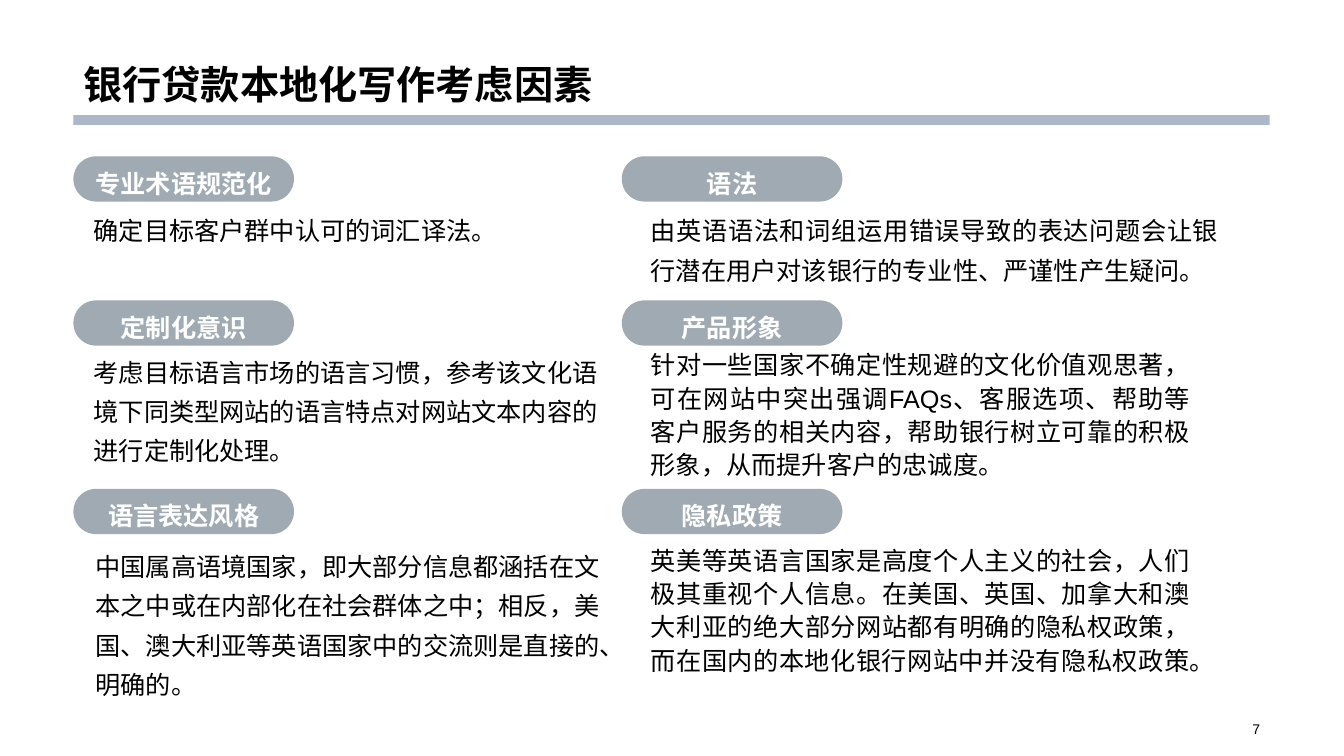
from lxml import etree
from pptx import Presentation
from pptx import util as u
from pptx.dml.color import RGBColor
from pptx.enum import shapes, text
from pptx.oxml.ns import qn

LEFT, CONTENT_WIDTH = 1.85, 30.15
PILL_LEFTS = (LEFT, 15.67)
PILL_TOPS = (3.94, 7.57, 12.32)
PILL_SIZE = (5.56, 1.14)

# Each row: (heading, text, text box in cm, line spacing) for both columns
FACTORS = [
    [("专业术语规范化", "确定目标客户群中认可的词汇译法。",
      (2.11, 5.08, 12.09, 2.01), 1.3),
     ("语法", "由英语语法和词组运用错误导致的表达问题会让银行潜在用户对该银行的专业性、严谨性产生疑问。",
      (16.15, 5.08, 14.81, 2.74), 1.3)],
    [("定制化意识", "考虑目标语言市场的语言习惯，参考该文化语境下同类型网站的语言特点对网站文本内容的进行定制化处理。",
      (2.11, 8.64, 13.28, 1.55), 1.3),
     ("产品形象", "针对一些国家不确定性规避的文化价值观思著，可在网站中突出强调FAQs、客服选项、帮助等"
      "客户服务的相关内容，帮助银行树立可靠的积极形象，从而提升客户的忠诚度。",
      (16.15, 8.61, 14.1, 3.45), 1.1)],
    [("语言表达风格", "中国属高语境国家，即大部分信息都涵括在文本之中或在内部化在社会群体之中；相反，"
      "美国、澳大利亚等英语国家中的交流则是直接的、明确的。",
      (2.16, 13.54, 13.72, 3.28), 1.3),
     ("隐私政策", "英美等英语言国家是高度个人主义的社会，人们极其重视个人信息。在美国、英国、加拿大和"
      "澳大利亚的绝大部分网站都有明确的隐私权政策，而在国内的本地化银行网站中并没有隐私权政策。",
      (16.15, 13.54, 14.1, 3.15), 1.1)],
]
# Hundredths of a centimetre
FLECK_POINTS = [(2294, 1148), (2296, 1143), (2286, 1135), (2273, 1133), (2268, 1133),
                (2268, 1140), (2263, 1148), (2266, 1156), (2268, 1158), (2273, 1161),
                (2278, 1158), (2289, 1161), (2289, 1151)]


def color(hex_string):
    return RGBColor.from_string(hex_string)


def lengths(box):
    return [u.Cm(value) for value in box]


class SlideBuilder:
    font_name = "Arial"
    ink, white = "000000", "FFFFFF"
    bar_fill, pill_fill, fleck_fill = "ACB8CA", "354B5E", "F2F2F2"

    def __init__(self, slide):
        self.slide = slide

    def set_text(self, shape, words, size, ink=ink, bold=False,
                 align=text.PP_ALIGN.LEFT, anchor=text.MSO_ANCHOR.TOP, spacing=1.0):
        frame = shape.text_frame
        frame.text = words
        frame.word_wrap = True
        frame.auto_size = text.MSO_AUTO_SIZE.NONE
        frame.vertical_anchor = anchor
        paragraph = frame.paragraphs[0]
        paragraph.alignment = align
        paragraph.line_spacing = spacing
        font = paragraph.font
        font.name, font.size, font.bold = self.font_name, u.Pt(size), bold
        font.color.rgb = color(ink)

    def paint(self, shape, fill):
        shape.shadow.inherit = False
        shape.fill.solid()
        shape.fill.fore_color.rgb = color(fill)
        shape.line.fill.background()

    def title(self, words, box):
        shape = self.slide.shapes.title
        shape.left, shape.top, shape.width, shape.height = lengths(box)
        self.set_text(shape, words, 28, bold=True, anchor=text.MSO_ANCHOR.BOTTOM, spacing=0.9)

    def bar(self, box):
        shape = self.slide.shapes.add_shape(shapes.MSO_SHAPE.RECTANGLE, *lengths(box))
        self.paint(shape, self.bar_fill)

    def fleck(self, points):
        builder = self.slide.shapes.build_freeform(*points[0], scale=u.Cm(0.01))
        builder.add_line_segments(points[1:], close=True)
        self.paint(builder.convert_to_shape(), self.fleck_fill)

    def pill(self, words, box):
        shape = self.slide.shapes.add_shape(shapes.MSO_SHAPE.ROUNDED_RECTANGLE, *lengths(box))
        shape.adjustments[0] = 0.5
        self.paint(shape, self.pill_fill)
        fill_color = shape.element.spPr.find(qn("a:solidFill"))[0]
        etree.SubElement(fill_color, qn("a:alpha"), val="47000")
        self.set_text(shape, words, 18, ink=self.white, bold=True, align=text.PP_ALIGN.CENTER)

    def text_box(self, words, box, size=18, **style):
        shape = self.slide.shapes.add_textbox(*lengths(box))
        self.set_text(shape, words, size, **style)


def main():
    presentation = Presentation()
    presentation.slide_width, presentation.slide_height = u.Cm(33.87), u.Cm(19.05)
    title_only = presentation.slide_layouts[5]
    builder = SlideBuilder(presentation.slides.add_slide(title_only))

    builder.bar((LEFT, 2.9, CONTENT_WIDTH, 0.25))
    builder.title("银行贷款本地化写作考虑因素", (LEFT, 0, CONTENT_WIDTH, 2.84))
    builder.fleck(FLECK_POINTS)
    column_aligns = (text.PP_ALIGN.LEFT, text.PP_ALIGN.JUSTIFY)
    for top, row in zip(PILL_TOPS, FACTORS):
        for left, align, factor in zip(PILL_LEFTS, column_aligns, row):
            heading, words, box, spacing = factor
            builder.pill(heading, (left, top, *PILL_SIZE))
            builder.text_box(words, box, align=align, spacing=spacing)
    builder.text_box("7", (23.93, 18.08, 8.08, 0.58), size=10,
                     align=text.PP_ALIGN.RIGHT, anchor=text.MSO_ANCHOR.MIDDLE)

    presentation.save("out.pptx")


if __name__ == "__main__":
    main()
